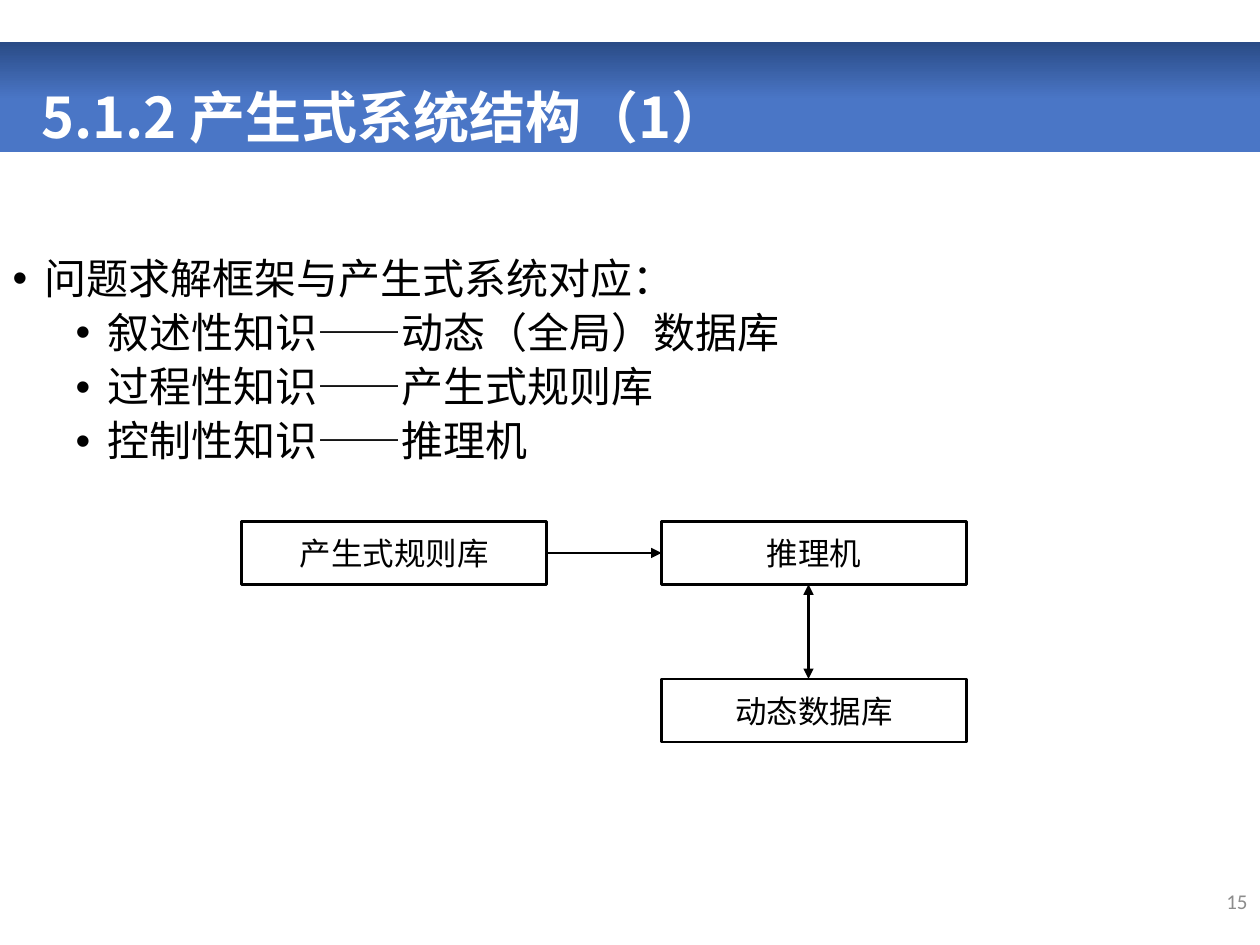
from pptx import Presentation
from pptx.util import Pt
from pptx.dml.color import RGBColor
from pptx.enum.shapes import MSO_SHAPE as Shape, MSO_CONNECTOR as Connector
from pptx.enum.text import PP_ALIGN as Align, MSO_ANCHOR as Anchor, MSO_AUTO_SIZE as AutoSize
from pptx.oxml.ns import qn
from lxml.etree import SubElement

# Content
HEADING = "5.1.2 产生式系统结构（1）"
LEAD = "问题求解框架与产生式系统对应："
PAIRS = [("叙述性知识", "动态（全局）数据库"),
         ("过程性知识", "产生式规则库"),
         ("控制性知识", "推理机")]
PAGE = "15"
# Diagram boxes: label, column, row
BOXES = [("产生式规则库", 0, 0), ("推理机", 1, 0), ("动态数据库", 1, 1)]

COLORS = {"band": "4A76C6", "band_dark": "2A4B86", "white": "FFFFFF",
          "ink": "000000", "page": "8C8C8C"}
CJK, LATIN, NARROW = "Noto Sans CJK SC", "Calibri", "Arial Narrow"
BOX_W, BOX_H = 174.5, 45 * 0.8
GRID_X, GRID_Y, STEP_X, STEP_Y = 138, 298, 240, 90


def color(name):
    return RGBColor.from_string(COLORS[name])


def write(para, text, size=24, font=LATIN, ink="ink", bold=False, align=Align.LEFT):
    para.alignment = align
    run = para.add_run()
    run.text = text
    run.font.size, run.font.name, run.font.bold = Pt(size), font, bold
    run.font.color.rgb = color(ink)
    SubElement(run.font._element, qn("a:ea"), typeface=CJK)


def place(shape, left, top, width, height):
    shape.left, shape.top, shape.width, shape.height = map(Pt, (left, top, width, height))


def bullet(para, level):
    para.level = level
    props = para._p.get_or_add_pPr()
    props.set("marL", str(Pt(18 + 36 * level)))
    props.set("indent", str(Pt(-18)))
    SubElement(props, qn("a:buFont"), typeface="Arial")
    SubElement(props, qn("a:buChar"), char="•")
    para.line_spacing = 0.9
    para.space_before = Pt(5 * level)


def arrow(start, end, ends):
    line = slide.shapes.add_connector(Connector.STRAIGHT, *map(Pt, start + end))
    line.line.color.rgb, line.line.width = color("ink"), Pt(1.5)
    for tag in ends:
        SubElement(line.line._get_or_add_ln(), qn(tag), type="triangle")
    SubElement(line._element.spPr, qn("a:effectLst"))


deck = Presentation()
deck.slide_width, deck.slide_height = Pt(720), Pt(540)
slide = deck.slides.add_slide(deck.slide_layouts[1])
title, body = slide.placeholders

# Title band, behind everything
band = slide.shapes.add_shape(Shape.RECTANGLE, 0, Pt(24), Pt(720), Pt(63))
band.shadow.inherit = False
band.line.fill.background()
band.fill.gradient()
band.fill.gradient_angle = 90
for stop, (position, name) in zip(band.fill.gradient_stops, [(0.48, "band"), (1, "band_dark")]):
    stop.position, stop.color.rgb = position, color(name)
slide.shapes._spTree.insert(2, band._element)

# Title
place(title, 16.5, 34, 673, 55.5)
title.text_frame.vertical_anchor = Anchor.BOTTOM
title.text_frame.auto_size = AutoSize.NONE
heading = title.text_frame.paragraphs[0]
heading.line_spacing = 0.9
write(heading, HEADING, size=32, font=CJK, ink="white", bold=True)

# Bulleted list
place(body, 0, 144, 620.5, 342.5)
body.text_frame.auto_size = AutoSize.NONE
lead = body.text_frame.paragraphs[0]
bullet(lead, 0)
write(lead, LEAD)
for knowledge, part in PAIRS:
    item = body.text_frame.add_paragraph()
    bullet(item, 1)
    write(item, knowledge)
    write(item, "——", font=CJK)
    write(item, part)

# Diagram
for label, column, row in BOXES:
    box = slide.shapes.add_shape(Shape.RECTANGLE, Pt(GRID_X + column * STEP_X),
                                 Pt(GRID_Y + row * STEP_Y), Pt(BOX_W), Pt(BOX_H))
    box.shadow.inherit = False
    box.fill.background()
    box.line.color.rgb, box.line.width = color("ink"), Pt(1.5)
    box.text_frame.word_wrap = False
    box.text_frame.vertical_anchor = Anchor.MIDDLE
    write(box.text_frame.paragraphs[0], label, size=18, font=NARROW, align=Align.CENTER)

middle = GRID_Y + BOX_H / 2
arrow((GRID_X + BOX_W, middle), (GRID_X + STEP_X, middle), ["a:tailEnd"])
arrow((462, GRID_Y + BOX_H), (462, GRID_Y + STEP_Y), ["a:headEnd", "a:tailEnd"])

# Page number
page = slide.shapes.add_textbox(Pt(558), Pt(500.5), Pt(162), Pt(28.5))
page.text_frame.word_wrap = True
page.text_frame.vertical_anchor = Anchor.MIDDLE
write(page.text_frame.paragraphs[0], PAGE, size=12, ink="page", align=Align.RIGHT)

deck.save("out.pptx")
